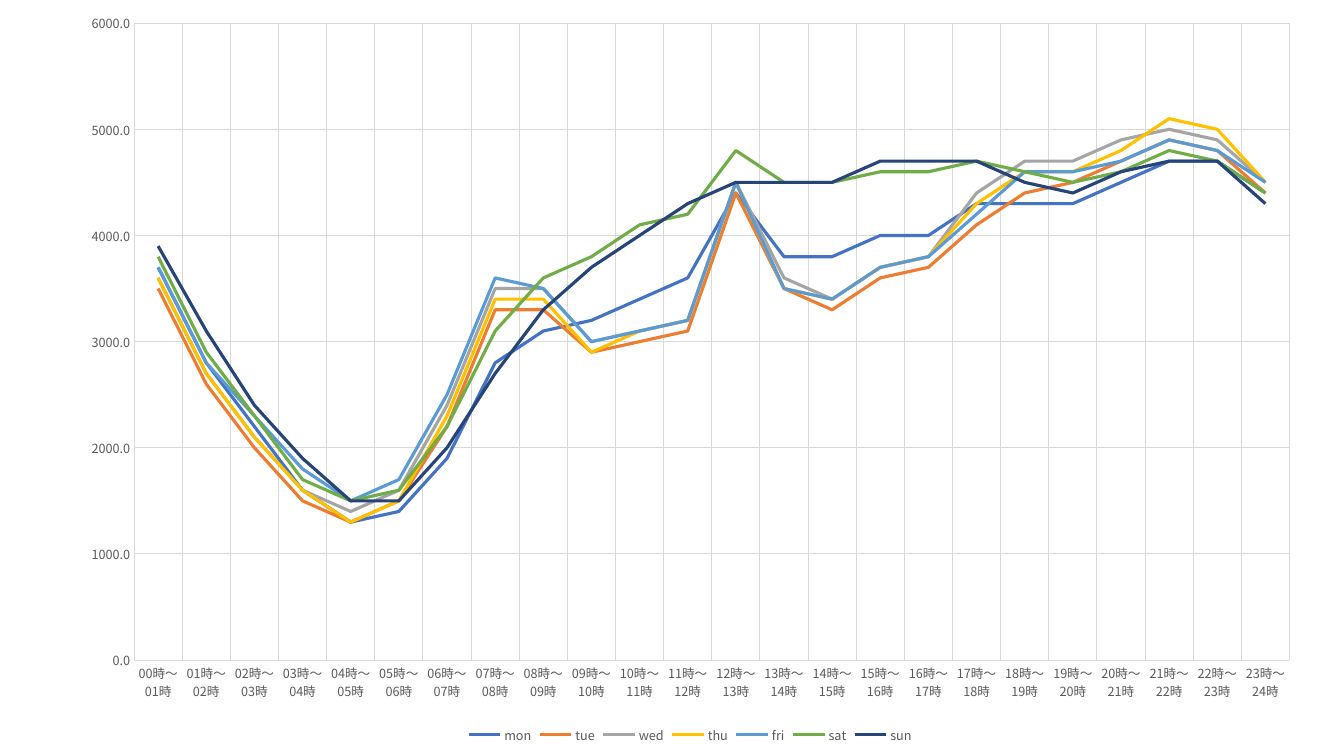
from lxml import etree
from pptx import Presentation
from pptx import util as u
from pptx.chart import data as chart_data
from pptx.dml import color
from pptx.enum import chart as kinds
from pptx.oxml import ns

FONT = "Noto Sans CJK JP"
COLORS = {
    "text": "595959", "base": "000000", "grid": "D9D9D9",
    "mon": "4472C4", "tue": "ED7D31", "wed": "A5A5A5", "thu": "FFC000",
    "fri": "5B9BD5", "sat": "70AD47", "sun": "264478",
}
# Left, top, width, height in inches
CHART_AREA = (0.66, 0, 12.37, 7.42)
PLOT_AREA = (1.33, 0.23, 11.46, 6.32)

# Hourly counts in hundreds, from midnight
HUNDREDS = {
    "mon": [37, 28, 22, 16, 13, 14, 19, 28, 31, 32, 34, 36,
            44, 38, 38, 40, 40, 43, 43, 43, 45, 47, 47, 44],
    "tue": [35, 26, 20, 15, 13, 15, 22, 33, 33, 29, 30, 31,
            44, 35, 33, 36, 37, 41, 44, 45, 47, 49, 48, 44],
    "wed": [36, 27, 21, 16, 14, 16, 24, 35, 35, 30, 31, 32,
            45, 36, 34, 37, 38, 44, 47, 47, 49, 50, 49, 45],
    "thu": [36, 27, 21, 16, 13, 15, 23, 34, 34, 29, 31, 32,
            45, 35, 34, 37, 38, 43, 46, 46, 48, 51, 50, 45],
    "fri": [37, 28, 23, 18, 15, 17, 25, 36, 35, 30, 31, 32,
            45, 35, 34, 37, 38, 42, 46, 46, 47, 49, 48, 45],
    "sat": [38, 29, 23, 17, 15, 16, 22, 31, 36, 38, 41, 42,
            48, 45, 45, 46, 46, 47, 46, 45, 46, 48, 47, 44],
    "sun": [39, 31, 24, 19, 15, 15, 20, 27, 33, 37, 40, 43,
            45, 45, 45, 47, 47, 47, 45, 44, 46, 47, 47, 43],
}


def rgb(name):
    return color.RGBColor.from_string(COLORS[name])


def style_font(font, size, name):
    font.name = FONT
    font.size = u.Pt(size)
    font.bold = False
    font.color.rgb = rgb(name)


def style_line(line, name, width):
    line.color.rgb = rgb(name)
    line.width = u.Pt(width)


def style_axis(axis):
    axis.major_tick_mark = axis.minor_tick_mark = kinds.XL_TICK_MARK.NONE
    axis.has_major_gridlines = True
    style_line(axis.major_gridlines.format.line, "grid", 0.75)
    style_font(axis.tick_labels.font, 9, "text")


def place_plot(chart):
    """Fix the inner plot area as fractions of the chart area."""
    left, top, width, height = CHART_AREA
    x, y, w, h = PLOT_AREA
    plot_area = chart._chartSpace.chart.plotArea
    for old in plot_area.findall(ns.qn("c:layout")):
        plot_area.remove(old)
    layout = etree.Element(ns.qn("c:layout"))
    manual = etree.SubElement(layout, ns.qn("c:manualLayout"))
    settings = {
        "layoutTarget": "inner", "xMode": "edge", "yMode": "edge",
        "x": (x - left) / width, "y": (y - top) / height,
        "w": w / width, "h": h / height,
    }
    for tag, value in settings.items():
        etree.SubElement(manual, ns.qn("c:" + tag)).set("val", str(value))
    plot_area.insert(0, layout)


def add_east_asian_font(chart):
    for latin in list(chart._chartSpace.iter(ns.qn("a:latin"))):
        east_asian = etree.Element(ns.qn("a:ea"))
        east_asian.set("typeface", FONT)
        latin.addnext(east_asian)


def add_weekday_chart(page):
    data = chart_data.CategoryChartData(number_format="#0.0")
    data.categories = [f"{hour:02}時～{hour + 1:02}時" for hour in range(24)]
    for day, counts in HUNDREDS.items():
        data.add_series(day, [count * 100 for count in counts])
    frame = page.shapes.add_chart(
        kinds.XL_CHART_TYPE.LINE, *map(u.Inches, CHART_AREA), data)
    chart = frame.chart
    chart.has_title = False
    style_font(chart.font, 10, "base")

    # Axes
    style_axis(chart.category_axis)
    style_line(chart.category_axis.format.line, "grid", 0.75)
    values = chart.value_axis
    style_axis(values)
    values.format.line.fill.background()
    values.minimum_scale, values.maximum_scale = 0, 6000
    values.major_unit = 1000
    values.tick_labels.number_format = "#0.0"
    values.tick_labels.number_format_is_linked = False

    # Weekday lines
    chart.plots[0].vary_by_categories = False
    for series in chart.plots[0].series:
        series.smooth = False
        series.marker.style = kinds.XL_MARKER_STYLE.NONE
        style_line(series.format.line, series.name, 2.25)

    # Legend
    chart.has_legend = True
    chart.legend.position = kinds.XL_LEGEND_POSITION.BOTTOM
    chart.legend.include_in_layout = False
    style_font(chart.legend.font, 9, "text")

    place_plot(chart)
    add_east_asian_font(chart)


def main():
    deck = Presentation()
    deck.slide_width, deck.slide_height = u.Inches(13.33), u.Inches(7.5)
    page = deck.slides.add_slide(deck.slide_layouts[6])
    add_weekday_chart(page)
    deck.save("out.pptx")


main()
